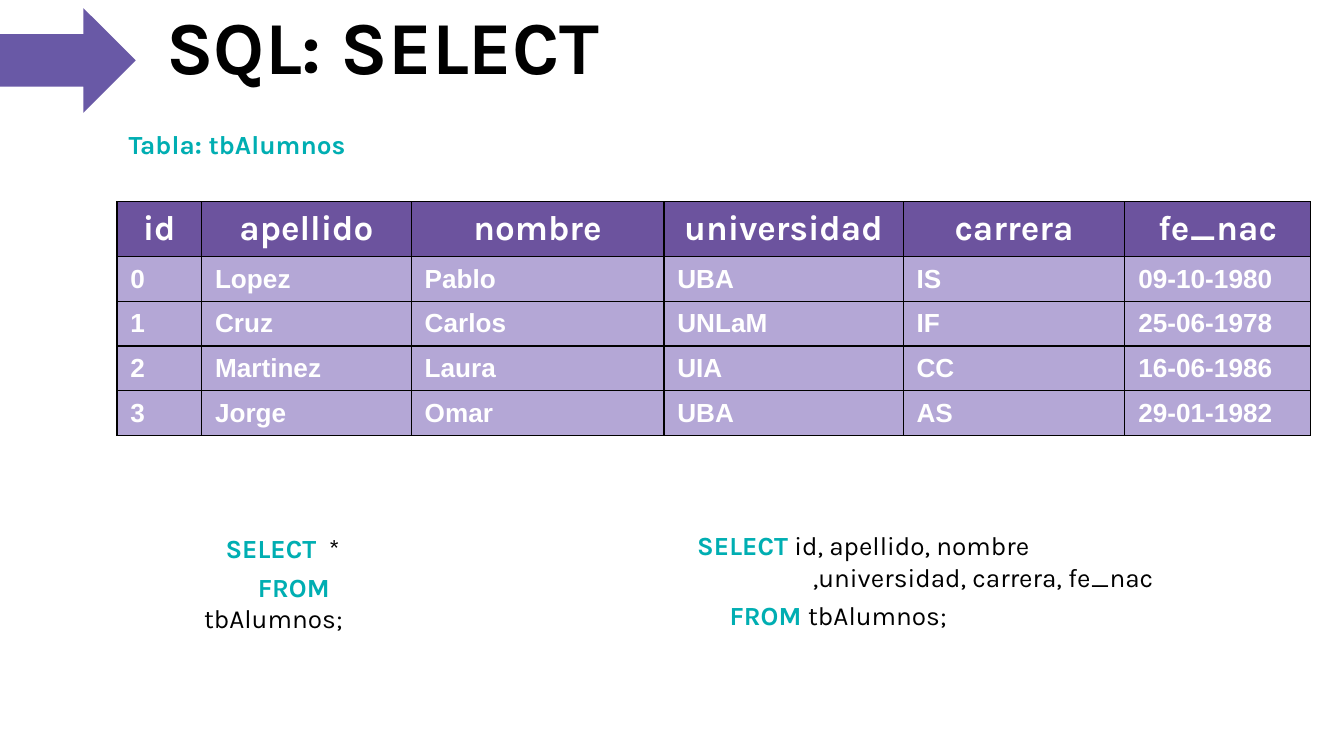
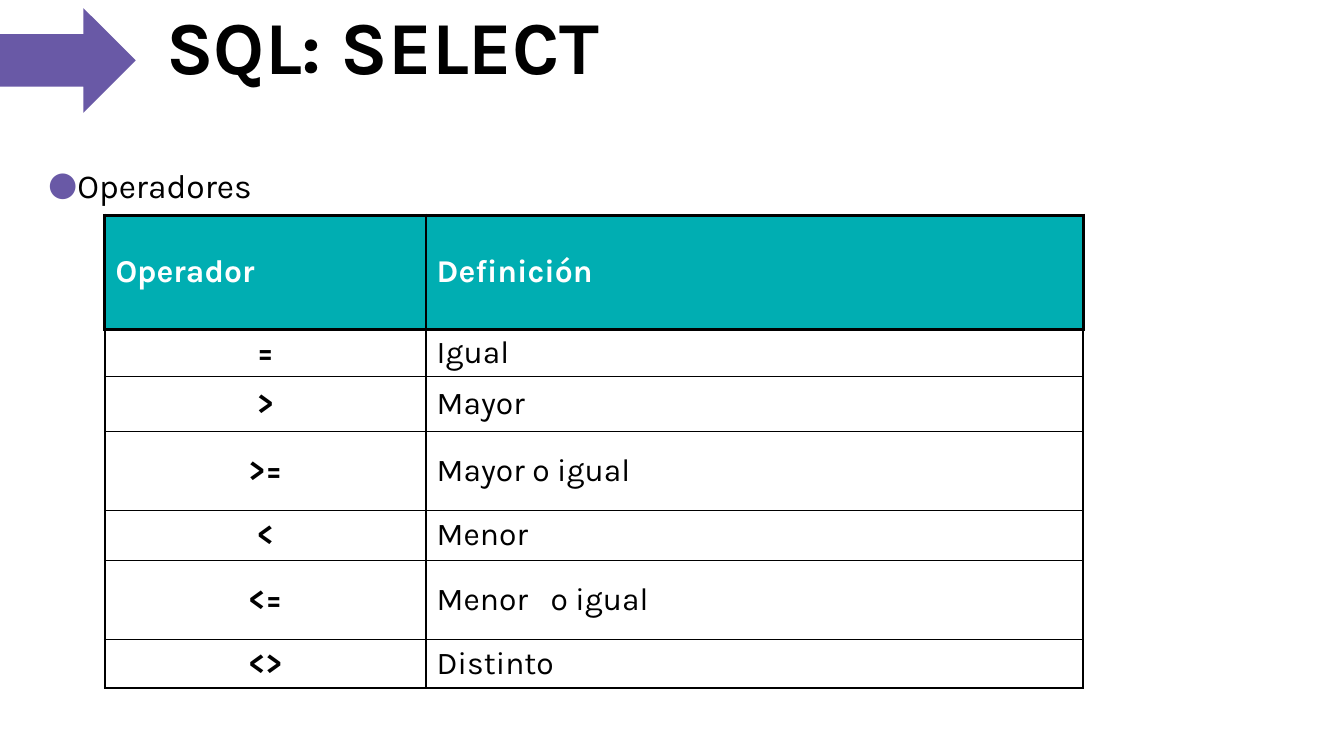
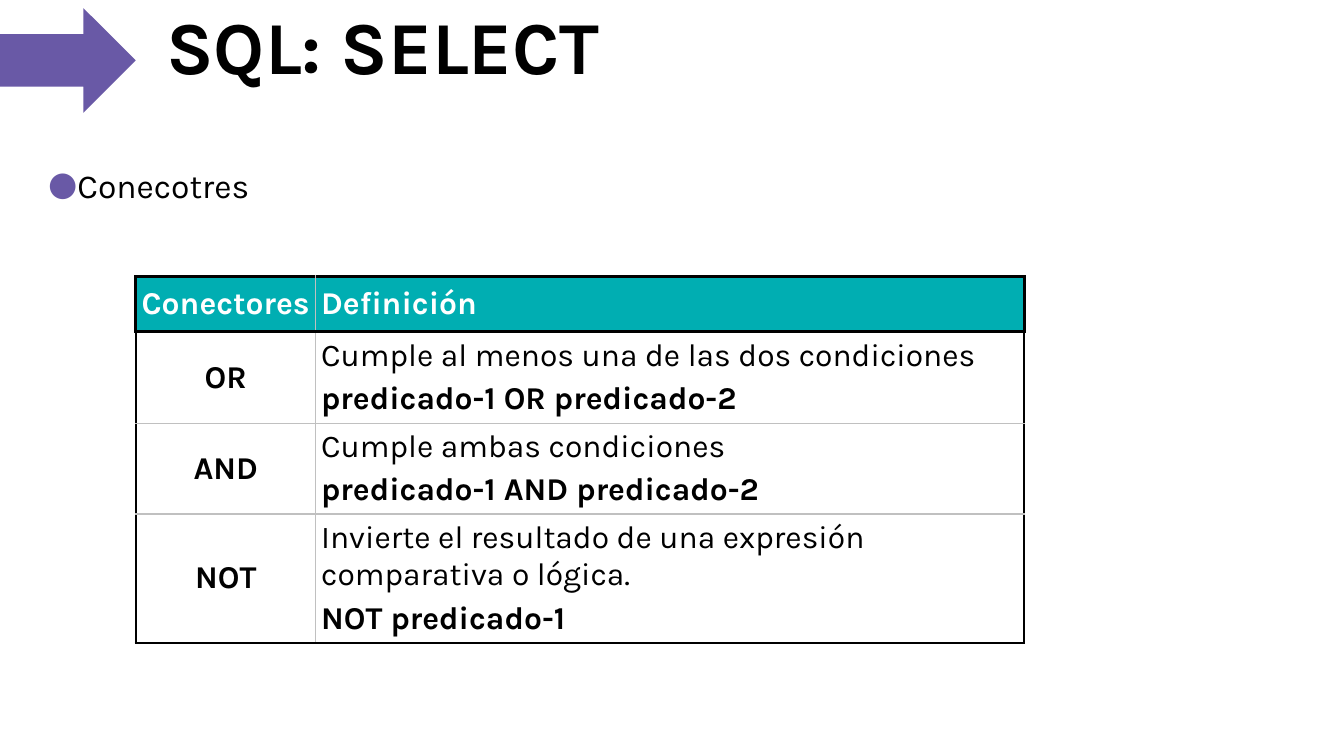
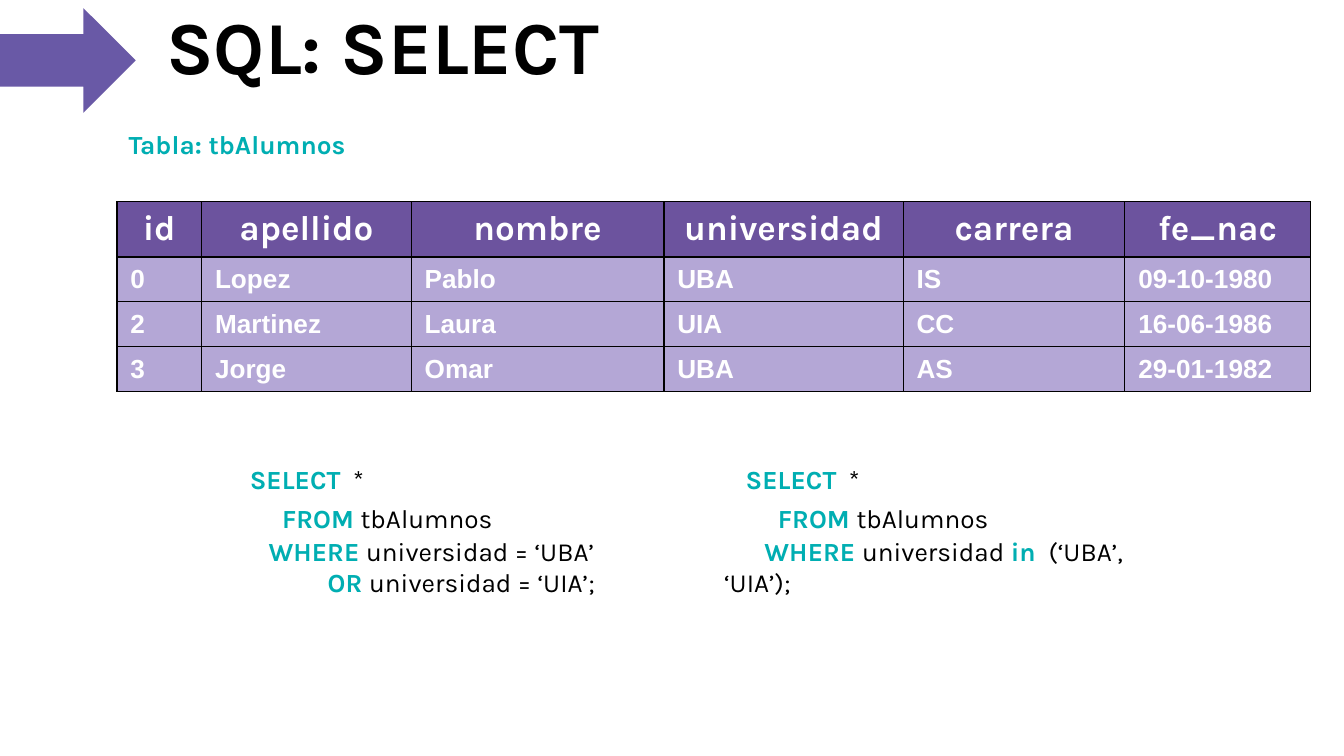
"""Build four slides on the SQL SELECT statement."""
from dataclasses import dataclass
from typing import Sequence

from lxml import etree
from pptx import Presentation
from pptx import util as u
from pptx.dml.color import RGBColor
from pptx.enum import shapes, text
from pptx.oxml import ns

COLORS = {
    "black": "000000",
    "white": "FFFFFF",
    "arrow": "6959A6",
    "header": "6C539E",
    "row": "B4A7D6",
    "teal": "00AEB2",
    "grey": "C0C0C0",
}
FONT = "Karla"
CENTER = text.PP_ALIGN.CENTER


@dataclass(frozen=True)
class Run:
    text: str
    size: float = 14
    color: str = "black"
    bold: bool = False
    font: str = FONT


@dataclass(frozen=True)
class Para:
    runs: tuple[Run, ...]
    first: float = 0
    before: float = 0
    after: float = 0
    align: text.PP_ALIGN | None = None


@dataclass(frozen=True)
class Box:
    left: float
    top: float
    width: float
    height: float


@dataclass(frozen=True)
class Cell:
    paras: tuple[Para, ...]
    fill: str | None = None


@dataclass(frozen=True)
class Grid:
    box: Box
    cols: tuple[float, ...]
    rows: tuple[float, ...]
    insets: tuple[float, float]
    header_line: float
    outer_line: float
    inner_line: float
    inner_color: str = "black"


def add_paras(tf, paras: Sequence[Para]) -> None:
    """Fill a text frame run by run."""
    for i, para in enumerate(paras):
        p = tf.paragraphs[0] if i == 0 else tf.add_paragraph()
        p.alignment = para.align
        if para.before:
            p.space_before = u.Pt(para.before)
        if para.after:
            p.space_after = u.Pt(para.after)
        if para.first:
            p._p.get_or_add_pPr().set("indent", str(u.Inches(para.first)))
        for run in para.runs:
            r = p.add_run()
            r.text = run.text
            r.font.name = run.font
            r.font.size = u.Pt(run.size)
            r.font.bold = run.bold
            r.font.color.rgb = RGBColor.from_string(COLORS[run.color])


def place(box: Box) -> tuple[u.Length, ...]:
    """Convert a box to slide lengths."""
    return tuple(u.Inches(v) for v in (box.left, box.top, box.width, box.height))


def add_text(s, box: Box, paras: Sequence[Para], top: float = 0.05, grow: bool = False):
    """Add a wrapping text box."""
    tf = s.shapes.add_textbox(*place(box)).text_frame
    tf.word_wrap = True
    tf.auto_size = text.MSO_AUTO_SIZE.SHAPE_TO_FIT_TEXT if grow else text.MSO_AUTO_SIZE.NONE
    tf.margin_top = u.Inches(top)
    add_paras(tf, paras)
    return tf


def add_base(prs):
    """Add a slide with the shared title and arrow."""
    s = prs.slides.add_slide(prs.slide_layouts[6])
    title = Para((Run("SQL: SELECT", 40, bold=True),))
    add_text(s, Box(1.14, -0.1, 4.97, 1.07), [title], top=0.1)
    sp = s.shapes.add_shape(shapes.MSO_SHAPE.RIGHT_ARROW, *place(Box(0, 0.06, 1.01, 0.78)))
    sp.shadow.inherit = False
    sp.fill.solid()
    sp.fill.fore_color.rgb = RGBColor.from_string(COLORS["arrow"])
    sp.line.fill.background()
    return s


def add_bullet(s, label: str) -> None:
    """Add the bulleted heading above a table."""
    tf = add_text(s, Box(0.26, 1.08, 8.12, 1.24), [Para((Run(label, 18),), first=-0.2)], top=0.1)
    p = tf.paragraphs[0]
    p.line_spacing = 1.15
    pPr = p._p.get_or_add_pPr()
    pPr.set("marL", str(u.Inches(0.2)))
    clr = etree.SubElement(pPr, ns.qn("a:buClr"))
    etree.SubElement(clr, ns.qn("a:srgbClr")).set("val", COLORS["arrow"])
    etree.SubElement(pPr, ns.qn("a:buFont")).set("typeface", FONT)
    etree.SubElement(pPr, ns.qn("a:buChar")).set("char", "●")


def set_borders(cell, grid: Grid, row: int, col: int) -> None:
    """Draw the outer, header and inner lines of one cell."""
    outer = (grid.header_line if row == 0 else grid.outer_line, "black")
    header = (grid.header_line, "black")
    inner = (grid.inner_line, grid.inner_color)
    last_row, last_col = len(grid.rows) - 1, len(grid.cols) - 1
    sides = {
        "L": outer if col == 0 else inner,
        "R": outer if col == last_col else inner,
        "T": header if row < 2 else inner,
        "B": header if row == 0 else outer if row == last_row else inner,
    }
    tcPr = cell._tc.get_or_add_tcPr()
    for i, (side, (width, color)) in enumerate(sides.items()):
        ln = etree.Element(ns.qn(f"a:ln{side}"), w=str(u.Pt(width)))
        fill = etree.SubElement(ln, ns.qn("a:solidFill"))
        etree.SubElement(fill, ns.qn("a:srgbClr")).set("val", COLORS[color])
        tcPr.insert(i, ln)


def add_grid(s, grid: Grid, rows: Sequence[Sequence[Cell]]) -> None:
    """Add a table with its own fills and borders."""
    sp = s.shapes.add_table(len(grid.rows), len(grid.cols), *place(grid.box))
    table = sp.table
    table.first_row = table.horz_banding = False
    for column, width in zip(table.columns, grid.cols):
        column.width = u.Inches(width)
    for table_row, height in zip(table.rows, grid.rows):
        table_row.height = u.Inches(height)
    sp.height = u.Inches(grid.box.height)
    side, end = (u.Inches(v) for v in grid.insets)
    for i, row in enumerate(rows):
        for j, content in enumerate(row):
            cell = table.cell(i, j)
            cell.margin_left = cell.margin_right = side
            cell.margin_top = cell.margin_bottom = end
            cell.vertical_anchor = text.MSO_ANCHOR.MIDDLE
            if content.fill:
                cell.fill.solid()
                cell.fill.fore_color.rgb = RGBColor.from_string(COLORS[content.fill])
            else:
                cell.fill.background()
            set_borders(cell, grid, i, j)
            add_paras(cell.text_frame, content.paras)


def add_students(s, students: Sequence[Sequence[str]], height: float) -> None:
    """Add the caption and the table of students."""
    names = ("id", "apellido", "nombre", "universidad", "carrera", "fe_nac")
    header_height = 0.41
    row_height = (height - header_height) / len(students)
    grid = Grid(
        Box(0.87, 1.5, 8.88, height),
        (0.63, 1.56, 1.88, 1.78, 1.65, 1.38),
        (header_height,) + (row_height,) * len(students),
        (0.1, 0.05), 0.75, 0.75, 0.75,
    )
    rows = [[Cell((Para((Run(n, 18.7, "white", True),), align=CENTER),), "header") for n in names]]
    rows += [
        [Cell((Para((Run(v, 14, "white", True, "Arial"),)),), "row") for v in student]
        for student in students
    ]
    add_grid(s, grid, rows)
    caption = Para((keyword("Tabla: tbAlumnos"),))
    add_text(s, Box(0.86, 0.91, 3.1, 0.34), [caption], grow=True)


def keyword(word: str) -> Run:
    """Return a highlighted run."""
    return Run(word, color="teal", bold=True)


def select(rest: str) -> Para:
    """Return the SELECT line of a query."""
    return Para((keyword("SELECT"), Run(rest)), first=0.16)


def from_table(rest: str) -> Para:
    """Return the FROM line of a query."""
    return Para((keyword("FROM "), Run(rest)), first=0.4, before=4, after=0.8)


def where(*runs: Run) -> Para:
    """Return the WHERE line of a query."""
    return Para((keyword("WHERE "),) + runs, first=0.3)


def add_query(s, box: Box, *lines: Para) -> None:
    """Add a query below the table."""
    add_text(s, box, lines, top=0.28, grow=True)


def teal_header(*titles: Para) -> list[Cell]:
    """Return the header row of a definition table."""
    return [Cell((title,), "teal") for title in titles]


def label(word: str, color: str = "black", align: text.PP_ALIGN | None = CENTER) -> Para:
    """Return a bold table label."""
    return Para((Run(word, 17, color, True),), align=align)


def main() -> None:
    """Build and save the slides."""
    prs = Presentation()
    prs.slide_width = u.Inches(10)
    prs.slide_height = prs.slide_width * 9 // 16
    students = [
        ("0", "Lopez", "Pablo", "UBA", "IS", "09-10-1980"),
        ("1", "Cruz", "Carlos", "UNLaM", "IF", "25-06-1978"),
        ("2", "Martinez", "Laura", "UIA", "CC", "16-06-1986"),
        ("3", "Jorge", "Omar", "UBA", "AS", "29-01-1982"),
    ]

    s = add_base(prs)
    add_students(s, students, 1.74)
    add_query(s, Box(1.42, 3.68, 2.2, 0.88), select("  *"), from_table("tbAlumnos;"))
    add_query(
        s, Box(4.93, 3.66, 5.33, 1.11),
        select(" id, apellido, nombre"),
        Para((Run(",universidad, carrera, fe_nac"),), first=1.02),
        from_table("tbAlumnos;"),
    )

    s = add_base(prs)
    add_bullet(s, "Operadores")
    operators = {
        "=": "Igual",
        ">": "Mayor",
        ">=": "Mayor o igual",
        "<": "Menor",
        "<=": "Menor   o igual",
        "<>": "Distinto",
    }
    grid = Grid(
        Box(0.78, 1.6, 7.28, 3.53), (2.39, 4.89),
        (0.85, 0.35, 0.41, 0.59, 0.37, 0.59, 0.36),
        (0.08, 0.03), 1.8, 1.2, 0.8,
    )
    rows = [teal_header(label("Operador", "white", None), label("Definición", "white", None))]
    rows += [
        [Cell((label(sign),)), Cell((Para((Run(meaning, 17),)),))]
        for sign, meaning in operators.items()
    ]
    add_grid(s, grid, rows)

    s = add_base(prs)
    add_bullet(s, "Conecotres")
    connectors = [
        ("OR", "Cumple al menos una de las dos condiciones", "predicado-1 OR predicado-2"),
        ("AND", "Cumple ambas condiciones", "predicado-1 AND predicado-2"),
        ("NOT", "Invierte el resultado de una expresión comparativa o lógica.", "NOT predicado-1"),
    ]
    grid = Grid(
        Box(1.01, 2.06, 6.61, 2.73), (1.34, 5.27), (0.41, 0.68, 0.57, 0.79),
        (0.04, 0.03), 1.8, 1.2, 0.8, "grey",
    )
    rows = [teal_header(label("Conectores", "white"), label("Definición", "white", None))]
    rows += [
        [
            Cell((label(name),)),
            Cell((Para((Run(meaning, 17),)), Para((Run(usage, 17, bold=True),), before=3.4))),
        ]
        for name, meaning, usage in connectors
    ]
    add_grid(s, grid, rows)

    s = add_base(prs)
    add_students(s, [student for student in students if student[3] in ("UBA", "UIA")], 1.37)
    add_query(
        s, Box(1.6, 3.17, 3.11, 1.65),
        select("  *"),
        from_table("tbAlumnos"),
        where(Run("universidad = ‘UBA’")),
        Para((keyword("OR "), Run("universidad = ‘UIA’;")), first=0.74),
    )
    add_query(
        s, Box(5.29, 3.17, 3.57, 1.41),
        select("  *"),
        from_table("tbAlumnos"),
        where(Run("universidad "), keyword("in "), Run(" (‘UBA’, ‘UIA’);")),
    )
    prs.save("out.pptx")


if __name__ == "__main__":
    main()
